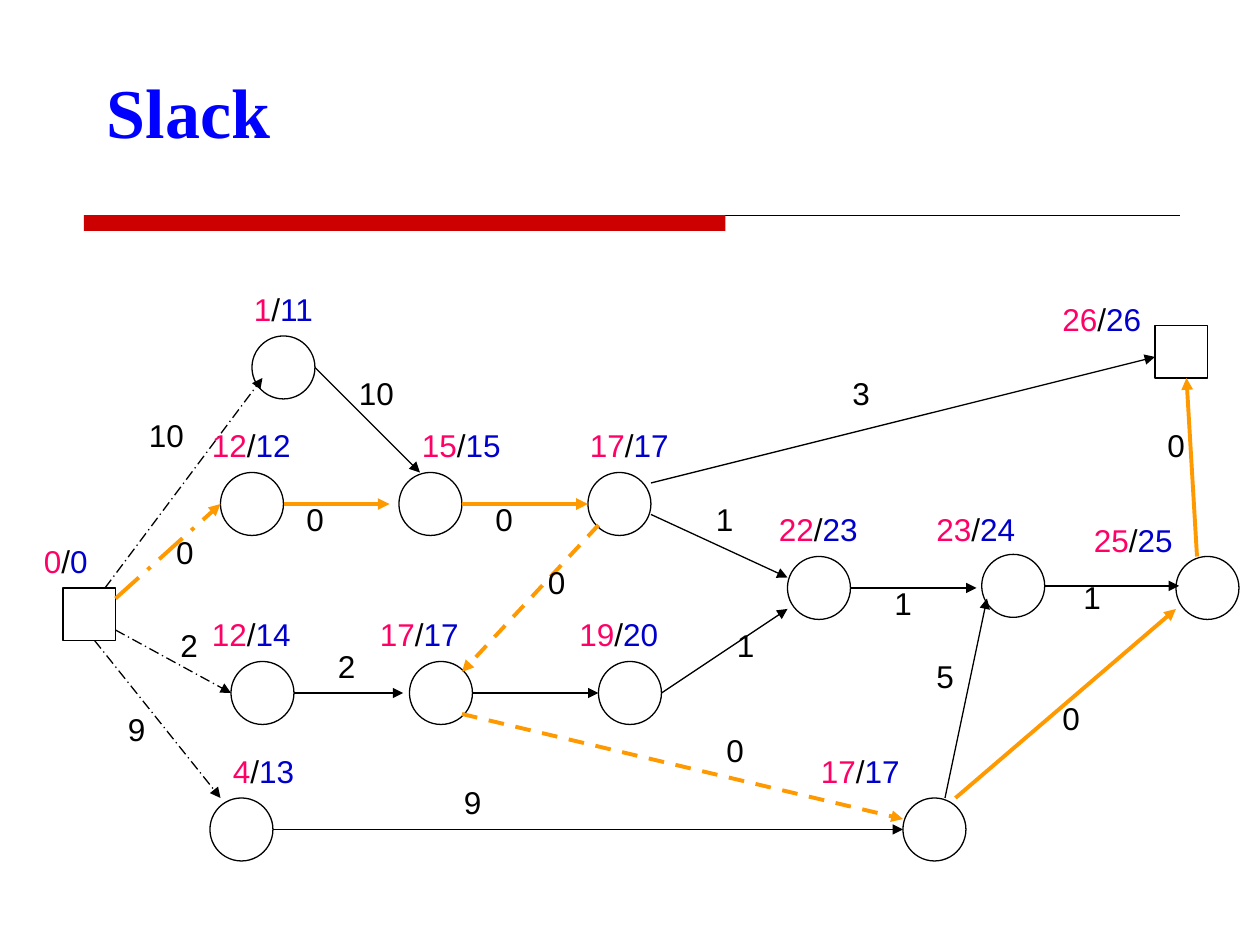
from lxml.etree import SubElement
from pptx import Presentation
from pptx.dml.color import RGBColor
from pptx.enum.dml import MSO_LINE_DASH_STYLE as Dash
from pptx.enum.shapes import MSO_CONNECTOR, MSO_SHAPE as Shape
from pptx.enum.text import MSO_ANCHOR
from pptx.oxml.ns import qn
from pptx.util import Pt

PX = 914400 // 120
THEME = {
    "title": {"name": "Times New Roman", "size": Pt(40), "bold": True},
    "label": {"name": "Arial", "size": Pt(18)},
    "blue": RGBColor(0x00, 0x00, 0xFF),
    "red": RGBColor(0xCC, 0x00, 0x00),
    "black": RGBColor(0x00, 0x00, 0x00),
    "critical": RGBColor(0xFF, 0x99, 0x00),
    "early": RGBColor(0xFF, 0x00, 0x66),
    "late": RGBColor(0x00, 0x00, 0xCC),
    "thin": Pt(0.75),
    "thick": Pt(2.25),
}

prs = Presentation()
prs.slide_width, prs.slide_height = 1200 * PX, 900 * PX
slide = prs.slides.add_slide(prs.slide_layouts[6])


def add_text(box, parts, style, anchor=MSO_ANCHOR.TOP):
    frame = slide.shapes.add_textbox(*(n * PX for n in box)).text_frame
    frame.word_wrap = True
    frame.vertical_anchor = anchor
    for text, color in parts:
        run = frame.paragraphs[0].add_run()
        run.text = text
        for key, value in THEME[style].items():
            setattr(run.font, key, value)
        run.font.color.rgb = THEME[color]


def add_line(ends, color="black", width="thin", dash=None, arrow=True):
    link = slide.shapes.add_connector(MSO_CONNECTOR.STRAIGHT, *(n * PX for n in ends))
    link.line.color.rgb = THEME[color]
    link.line.width = THEME[width]
    if dash:
        link.line.dash_style = dash
    if arrow:
        SubElement(link.line._get_or_add_ln(), qn("a:tailEnd"), type="triangle")
    SubElement(link._element.spPr, qn("a:effectLst"))


add_line((80, 205, 1124, 205), arrow=False)
rule = slide.shapes.add_shape(Shape.RECTANGLE, 80 * PX, 205 * PX, 611 * PX, 15 * PX)
rule.shadow.inherit = False
rule.fill.solid()
rule.fill.fore_color.rgb = THEME["red"]
rule.line.fill.background()
add_text((90, 30, 1020, 150), [("Slack", "blue")], "title", MSO_ANCHOR.MIDDLE)

tasks = [
    (240, 320), (210, 450), (380, 450), (560, 450), (220, 630), (390, 630),
    (570, 630), (200, 760), (860, 760), (750, 530), (935, 528), (1120, 530),
]
milestones = [(60, 560), (1100, 310)]
for kind, size, corners in ((Shape.OVAL, 60, tasks), (Shape.RECTANGLE, 50, milestones)):
    for x, y in corners:
        node = slide.shapes.add_shape(kind, x * PX, y * PX, size * PX, size * PX)
        node.shadow.inherit = False
        node.fill.background()
        node.line.color.rgb = THEME["black"]
        node.line.width = THEME["thin"]

starts = [(100, 560, 250, 360), (110, 600, 220, 660), (90, 610, 210, 760)]
steps = [
    (300, 350, 400, 450), (620, 460, 1100, 340), (620, 490, 750, 550),
    (280, 660, 384, 660), (450, 660, 570, 660), (630, 660, 750, 580),
    (810, 560, 930, 560), (995, 558, 1123, 558), (260, 790, 860, 790),
    (900, 760, 940, 570),
]
critical_steps = [
    (270, 480, 371, 480), (440, 480, 560, 480),
    (910, 760, 1120, 580), (1140, 530, 1130, 360),
]
critical_waits = [(570, 500, 440, 640), (440, 680, 860, 780)]
for color, width, dash, routes in (
    ("black", "thin", Dash.LONG_DASH_DOT, starts),
    ("black", "thin", None, steps),
    ("critical", "thick", Dash.LONG_DASH_DOT, [(110, 570, 210, 480)]),
    ("critical", "thick", None, critical_steps),
    ("critical", "thick", Dash.DASH, critical_waits),
):
    for ends in routes:
        add_line(ends, color, width, dash)

times = [
    ("0", "0", 30, 510, 80), ("1", "11", 230, 270, 100), ("12", "12", 190, 400, 124),
    ("15", "15", 390, 400, 132), ("17", "17", 550, 400, 130), ("12", "14", 190, 580, 120),
    ("17", "17", 350, 580, 125), ("19", "20", 540, 580, 130), ("4", "13", 210, 710, 110),
    ("17", "17", 770, 710, 140), ("22", "23", 730, 480, 140), ("23", "24", 880, 480, 120),
    ("25", "25", 1030, 490, 120), ("26", "26", 1000, 280, 130),
]
for early, late, x, y, width in times:
    parts = [(early, "early"), ("/", "black"), (late, "late")]
    add_text((x, y, width, 60), parts, "label")

slacks = [
    ("10", 130, 390, 80), ("10", 330, 350, 80), ("3", 800, 350, 120),
    ("0", 156, 502, 60), ("0", 280, 470, 60), ("0", 460, 470, 60),
    ("0", 510, 530, 60), ("0", 680, 690, 60), ("0", 1000, 660, 60),
    ("0", 1100, 400, 60), ("2", 160, 590, 30), ("2", 310, 610, 30),
    ("9", 110, 670, 60), ("9", 430, 740, 60), ("1", 670, 470, 50),
    ("1", 690, 590, 50), ("1", 840, 550, 50), ("1", 1020, 545, 50),
    ("5", 880, 620, 50),
]
for slack, x, y, width in slacks:
    add_text((x, y, width, 60), [(slack, "black")], "label")

prs.save("out.pptx")
